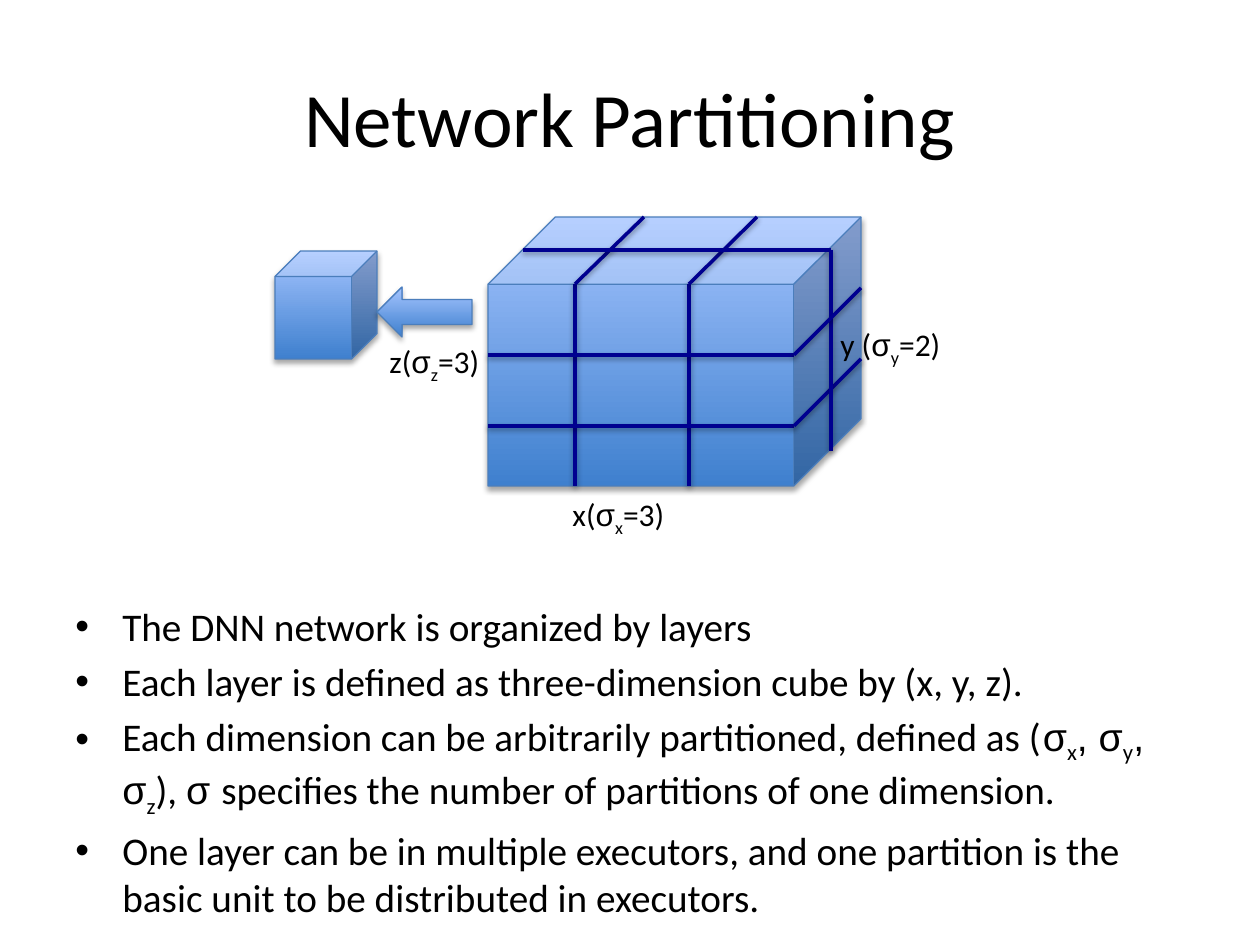
"""Build a slide on splitting a network layer into partitions along three axes."""
from dataclasses import dataclass

from lxml import etree
from pptx import Presentation
from pptx import util as u
from pptx.dml.color import RGBColor
from pptx.enum import shapes, text
from pptx.oxml import ns

EMU_PER_PX = 914400 / 126
COLORS = {"text": "000000", "grid": "000090", "edge": "4B7EBC",
          "dark": "3F80CE", "light": "A4C4FF", "shadow": "000000"}
LATIN, GREEK = "Calibri", "Arial"
LEFT, FRONT_RIGHT, BACK_RIGHT = 488, 794, 861
BACK_TOP, FRONT_TOP, FRONT_BOTTOM = 217, 284, 486


@dataclass(frozen=True)
class Box:
    left: int
    top: int
    width: int
    height: int


@dataclass(frozen=True)
class Run:
    text: str
    font: str = LATIN
    subscript: bool = False


@dataclass(frozen=True)
class Solid:
    kind: shapes.MSO_SHAPE
    box: Box


@dataclass(frozen=True)
class Label:
    box: Box
    prefix: str
    axis: str
    count: int


LAYER = Solid(shapes.MSO_SHAPE.CUBE, Box(LEFT, BACK_TOP, BACK_RIGHT - LEFT, FRONT_BOTTOM - BACK_TOP))
PARTITION = Solid(shapes.MSO_SHAPE.CUBE, Box(275, 251, 102, 108))
ARROW = Solid(shapes.MSO_SHAPE.LEFT_ARROW, Box(377, 287, 95, 50))
LABELS = [
    Label(Box(560, 489, 256, 50), "x(", "x", 3),
    Label(Box(377, 336, 134, 50), "z(", "z", 3),
    Label(Box(828, 319, 256, 50), "y (", "y", 2),
]
CUTS = [
    [(575, FRONT_BOTTOM), (575, FRONT_TOP), (644, BACK_TOP)],
    [(689, FRONT_BOTTOM), (689, FRONT_TOP), (757, BACK_TOP)],
    [(LEFT, 426), (FRONT_RIGHT, 426), (BACK_RIGHT, 359)],
    [(523, 250), (831, 250), (831, 451)],
    [(LEFT, 355), (FRONT_RIGHT, 355), (BACK_RIGHT, 288)],
]
BULLETS = [
    [Run("The DNN network is organized by layers")],
    [Run("Each layer is defined as three-dimension cube by (x, y, z).")],
    [Run("Each dimension can be arbitrarily partitioned, defined as ("),
     Run("σ", GREEK), Run("x", subscript=True),
     Run(", σ", GREEK), Run("y", subscript=True),
     Run(", σ", GREEK), Run("z", subscript=True),
     Run("), "), Run("σ ", GREEK),
     Run("specifies the number of partitions of one dimension.")],
    [Run("One layer can be in multiple executors, and one partition is the "
         "basic unit to be distributed in executors.")],
]


def px(value: int) -> u.Emu:
    return u.Emu(round(value * EMU_PER_PX))


def place(box: Box) -> list:
    return [px(value) for value in (box.left, box.top, box.width, box.height)]


def color(name: str) -> RGBColor:
    return RGBColor.from_string(COLORS[name])


def apply(target, values: dict) -> None:
    for name, value in values.items():
        setattr(target, name, value)


def add_shadow(shape, alpha: int, distance: float) -> None:
    effects = etree.SubElement(shape._element.spPr, ns.qn("a:effectLst"))
    shadow = etree.SubElement(effects, ns.qn("a:outerShdw"), blurRad=str(u.Pt(3.1)),
                              dist=str(u.Pt(distance)), dir="5400000", rotWithShape="0")
    tint = etree.SubElement(shadow, ns.qn("a:srgbClr"), val=COLORS["shadow"])
    etree.SubElement(tint, ns.qn("a:alpha"), val=str(alpha * 1000))


def add_solid(slide, solid: Solid) -> None:
    shape = slide.shapes.add_shape(solid.kind, *place(solid.box))
    shape.fill.gradient()
    shape.fill.gradient_angle = 90
    for stop, name, position in zip(shape.fill.gradient_stops, ("dark", "light"), (0, 1)):
        stop.color.rgb = color(name)
        stop.position = position
    shape.line.color.rgb = color("edge")
    shape.line.width = u.Pt(0.75)
    add_shadow(shape, 35, 1.8)


def add_cut(slide, points: list) -> None:
    for start, end in zip(points, points[1:]):
        ends = [px(value) for value in (*start, *end)]
        connector = slide.shapes.add_connector(shapes.MSO_CONNECTOR.STRAIGHT, *ends)
        connector.line.color.rgb = color("grid")
        connector.line.width = u.Pt(2)
        add_shadow(connector, 38, 1.6)


def add_runs(paragraph, runs: list, size: float) -> None:
    for item in runs:
        run = paragraph.add_run()
        run.text = item.text
        apply(run.font, {"name": item.font, "size": u.Pt(size)})
        run.font.color.rgb = color("text")
        if item.subscript:
            run.font._element.set("baseline", "-25000")


def add_text(slide, box: Box, paragraphs: list, size: float, **frame_values) -> list:
    frame = slide.shapes.add_textbox(*place(box)).text_frame
    apply(frame, {"word_wrap": True, **frame_values})
    for _ in paragraphs[1:]:
        frame.add_paragraph()
    for paragraph, runs in zip(frame.paragraphs, paragraphs):
        add_runs(paragraph, runs, size)
    return list(frame.paragraphs)


def add_bullet(paragraph) -> None:
    properties = paragraph._p.get_or_add_pPr()
    properties.set("marL", str(px(47)))
    properties.set("indent", str(-px(47)))
    etree.SubElement(properties, ns.qn("a:buFont"), typeface="Arial")
    etree.SubElement(properties, ns.qn("a:buChar"), char="•")


def add_label(slide, label: Label) -> None:
    runs = [Run(label.prefix), Run("σ", GREEK), Run(label.axis, subscript=True),
            Run(f"={label.count})")]
    add_text(slide, label.box, [runs], 18, auto_size=text.MSO_AUTO_SIZE.SHAPE_TO_FIT_TEXT)


def main() -> None:
    presentation = Presentation()
    apply(presentation, {"slide_width": px(1260), "slide_height": px(945)})
    slide = presentation.slides.add_slide(presentation.slide_layouts[6])

    title = add_text(slide, Box(63, 38, 1134, 157), [[Run("Network Partitioning")]], 44,
                     vertical_anchor=text.MSO_ANCHOR.MIDDLE)
    title[0].alignment = text.PP_ALIGN.CENTER

    bullets = add_text(slide, Box(63, 596, 1134, 275), BULLETS, 22.4)
    for index, paragraph in enumerate(bullets):
        paragraph.space_before = u.Pt(4.48 if index else 0)
        add_bullet(paragraph)

    add_solid(slide, LAYER)
    for cut in CUTS:
        add_cut(slide, cut)
    for label in LABELS:
        add_label(slide, label)
    for solid in (PARTITION, ARROW):
        add_solid(slide, solid)

    presentation.save("out.pptx")


if __name__ == "__main__":
    main()
